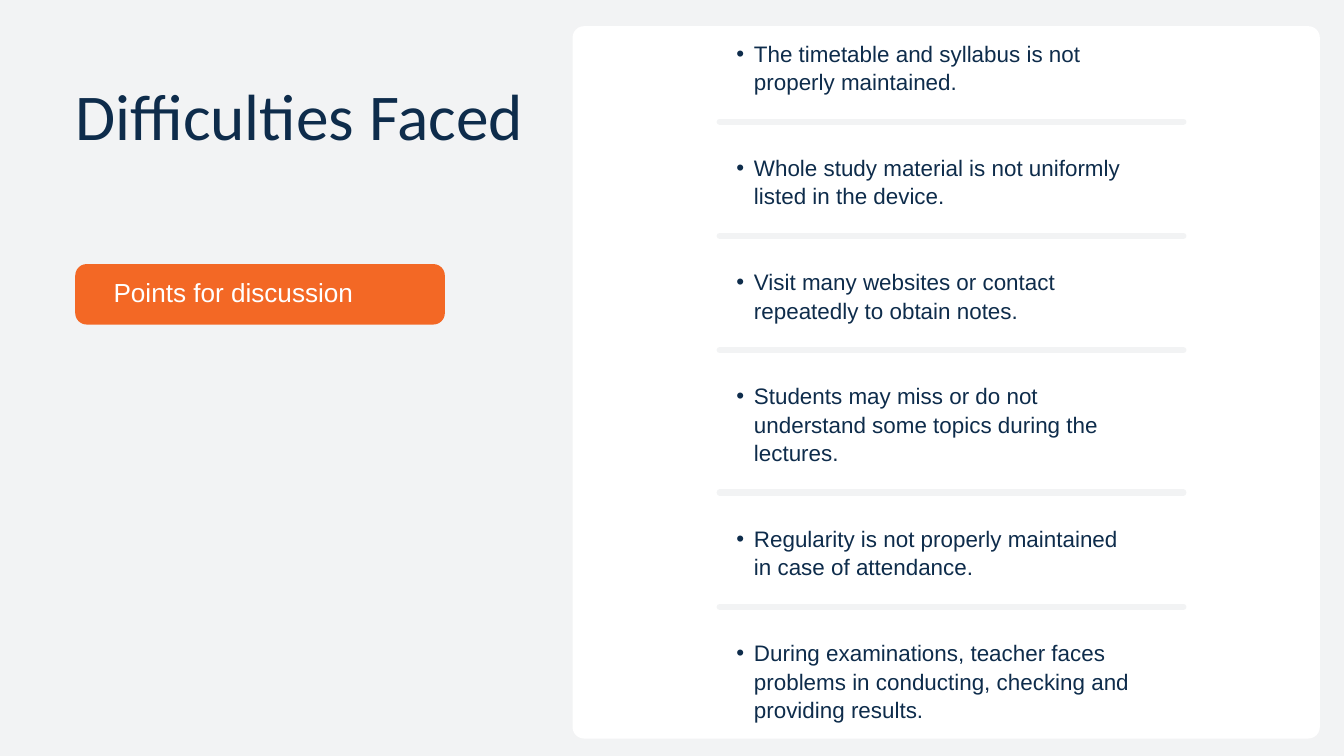
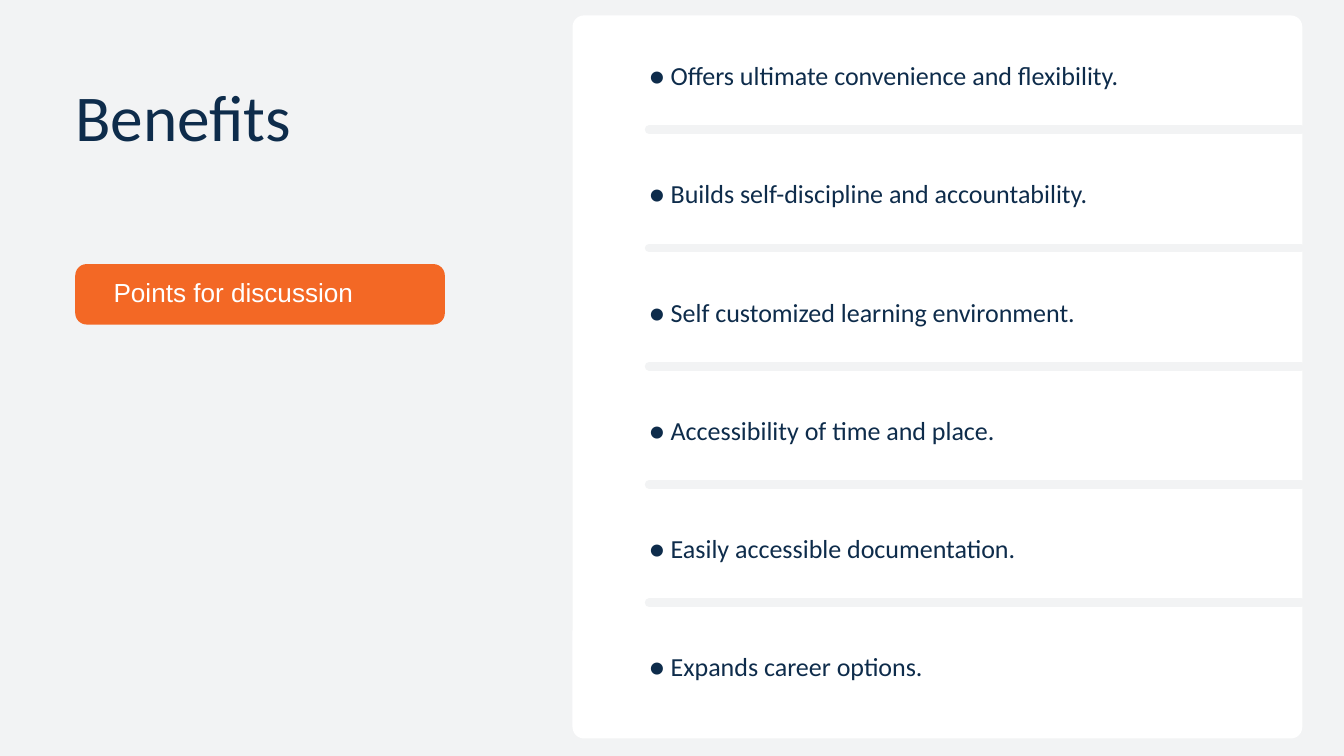
"""Build two discussion slides: difficulties faced and benefits."""
from dataclasses import dataclass

from lxml import etree
from pptx import Presentation
from pptx import util as u
from pptx.dml.color import RGBColor
from pptx.enum import shapes, text
from pptx.oxml.ns import qn

COLORS = {"ground": "F2F3F4", "panel": "FFFFFF", "accent": "F36825", "ink": "0E2C4B"}
RADIUS = 0.17


@dataclass(frozen=True)
class Box:
    """A rectangle in inches."""
    left: float
    top: float
    width: float
    height: float


@dataclass(frozen=True)
class Point:
    """A discussion point and the number of lines it fills."""
    words: str
    lines: int = 1


@dataclass(frozen=True)
class ListStyle:
    """Placing and type of a list of points with rules between them."""
    left: float
    top: float
    text_width: float
    rule_width: float
    rule_weight: float
    line_height: float
    gap: float
    rule_rise: float
    font: str
    size: float
    spacing: float
    bulleted: bool


@dataclass(frozen=True)
class Topic:
    """The content of one slide."""
    title: str
    title_box: Box
    panel: Box
    style: ListStyle
    points: tuple[Point, ...]


BADGE = Box(1.12, 3.93, 5.5, 0.9)
BADGE_TEXT = Box(1.69, 4.12, 4.58, 0.46)

TOPICS = (
    Topic(
        "Difficulties Faced", Box(1.12, 1.12, 6.75, 2.33), Box(8.52, 0.39, 11.12, 10.6),
        ListStyle(10.71, 0.57, 6.2, 6.9, 6.61, 0.42, 0.86, 0.46, "Arial", 24, 30.5, True),
        (
            Point("The timetable and syllabus is not properly maintained.", 2),
            Point("Whole study material is not uniformly listed in the device.", 2),
            Point("Visit many websites or contact repeatedly to obtain notes.", 2),
            Point("Students may miss or do not understand some topics during the lectures.", 3),
            Point("Regularity is not properly maintained in case of attendance.", 2),
            Point("During examinations, teacher faces problems in conducting, "
                  "checking and providing results.", 3),
        ),
    ),
    Topic(
        "Benefits", Box(1.12, 1.13, 6.75, 1.18), Box(8.52, 0.23, 10.86, 10.76),
        ListStyle(9.66, 0.81, 8.71, 9.7, 9.29, 0.52, 1.24, 0.64, "Calibri", 27.9, 39, False),
        (
            Point("● Offers ultimate convenience and flexibility."),
            Point("● Builds self-discipline and accountability."),
            Point("● Self customized learning environment."),
            Point("● Accessibility of time and place."),
            Point("● Easily accessible documentation."),
            Point("● Expands career options."),
        ),
    ),
)


def color(name: str) -> RGBColor:
    """Look up a palette colour."""
    return RGBColor.from_string(COLORS[name])


def place(box: Box) -> tuple[u.Length, ...]:
    """Return the box as left, top, width and height lengths."""
    return tuple(u.Inches(v) for v in (box.left, box.top, box.width, box.height))


def write(sp, words: str, *, font: str, size: float, spacing: float,
          ink: str = "ink", bulleted: bool = False) -> None:
    """Put one formatted paragraph in a shape without insets."""
    tf = sp.text_frame
    tf.word_wrap = True
    tf.auto_size = text.MSO_AUTO_SIZE.NONE
    tf.vertical_anchor = text.MSO_ANCHOR.TOP
    tf.margin_left = tf.margin_top = tf.margin_right = tf.margin_bottom = 0
    p = tf.paragraphs[0]
    p.alignment = text.PP_ALIGN.LEFT
    p.line_spacing = u.Pt(spacing)
    if bulleted:
        ppr = p._p.get_or_add_pPr()
        ppr.set("marL", str(u.Inches(0.51)))
        ppr.set("indent", str(u.Inches(-0.26)))
        etree.SubElement(ppr, qn("a:buFont"), typeface="Arial")
        etree.SubElement(ppr, qn("a:buChar"), char="•")
    r = p.add_run()
    r.text = words
    r.font.name = font
    r.font.size = u.Pt(size)
    r.font.color.rgb = color(ink)


def add_text(s, box: Box, words: str, **style) -> None:
    """Add a text box."""
    write(s.shapes.add_textbox(*place(box)), words, **style)


def add_card(s, box: Box, fill: str) -> None:
    """Add a plain rectangle with the shared corner radius."""
    sp = s.shapes.add_shape(shapes.MSO_SHAPE.ROUNDED_RECTANGLE, *place(box))
    sp.adjustments[0] = RADIUS / min(box.width, box.height)
    sp.shadow.inherit = False
    sp.fill.solid()
    sp.fill.fore_color.rgb = color(fill)
    sp.line.fill.background()


def add_rule(s, left: float, y: float, width: float, weight: float) -> None:
    """Add a horizontal rule with round ends."""
    rule = s.shapes.add_connector(shapes.MSO_CONNECTOR.STRAIGHT, u.Inches(left), u.Inches(y),
                                  u.Inches(left + width), u.Inches(y))
    rule.line.color.rgb = color("ground")
    rule.line.width = u.Pt(weight)
    rule.line._get_or_add_ln().set("cap", "rnd")
    etree.SubElement(rule._element.spPr, qn("a:effectLst"))


def add_points(s, points: tuple[Point, ...], style: ListStyle) -> None:
    """Stack the points, with a rule between each pair."""
    top = style.top
    for i, point in enumerate(points):
        height = point.lines * style.line_height
        add_text(s, Box(style.left, top, style.text_width, height), point.words,
                 font=style.font, size=style.size, spacing=style.spacing,
                 bulleted=style.bulleted)
        top += height + style.gap
        if i < len(points) - 1:
            add_rule(s, style.left, top - style.rule_rise, style.rule_width, style.rule_weight)


def add_topic(prs, topic: Topic) -> None:
    """Add the slide of one topic."""
    s = prs.slides.add_slide(prs.slide_layouts[5])
    s.background.fill.solid()
    s.background.fill.fore_color.rgb = color("ground")
    title = s.shapes.title
    title.left, title.top, title.width, title.height = place(topic.title_box)
    write(title, topic.title, font="Calibri", size=70, spacing=84)
    add_card(s, topic.panel, "panel")
    add_card(s, BADGE, "accent")
    add_text(s, BADGE_TEXT, "Points for discussion", font="Arial", size=28, spacing=33.6,
             ink="panel")
    add_points(s, topic.points, topic.style)


def main() -> None:
    """Build and save the presentation."""
    prs = Presentation()
    prs.slide_width, prs.slide_height = u.Inches(20), u.Inches(11.25)
    for topic in TOPICS:
        add_topic(prs, topic)
    prs.save("out.pptx")


if __name__ == "__main__":
    main()
